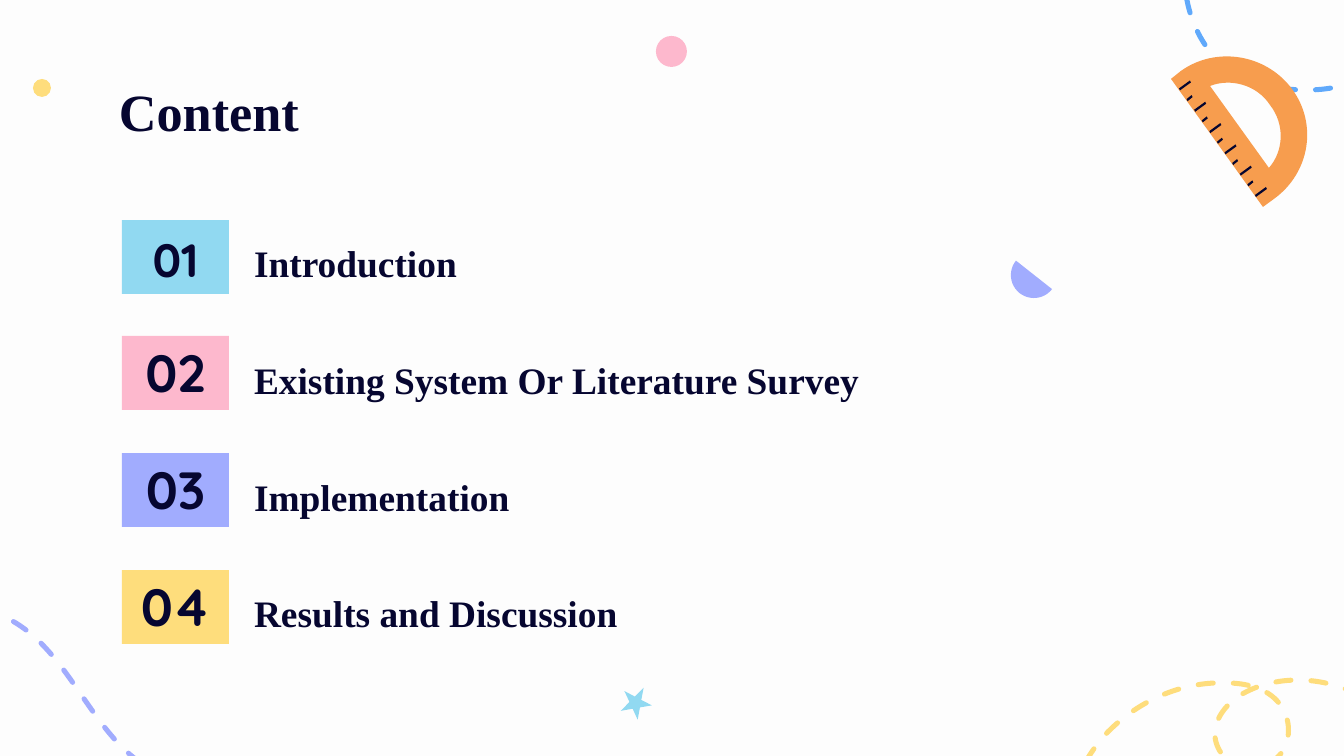
from lxml.etree import SubElement
from pptx import Presentation
from pptx.dml.color import RGBColor
from pptx.enum.dml import MSO_LINE
from pptx.enum.shapes import MSO_SHAPE
from pptx.enum.text import MSO_ANCHOR, PP_ALIGN
from pptx.oxml.ns import qn
from pptx.util import Pt

PX = 6804  # EMU per pixel, 134.4 pixels to the inch

THEME = {
    "paper": RGBColor.from_string("FDFDFD"),
    "ink": RGBColor.from_string("060630"),
    "sky": RGBColor.from_string("91D9F1"),
    "pink": RGBColor.from_string("FDB8CD"),
    "violet": RGBColor.from_string("A1ACFE"),
    "yellow": RGBColor.from_string("FEDD7C"),
    "blue": RGBColor.from_string("60A9FB"),
    "orange": RGBColor.from_string("F79D4E"),
    "heading_font": "Times New Roman",
    "number_font": "Quicksand",
    "title_size": Pt(28),
    "first_number_size": Pt(25),
    "number_size": Pt(28),
    "label_size": Pt(20),
    "dash_width": Pt(2.69),
}

presentation = Presentation()
presentation.slide_width = 1344 * PX
presentation.slide_height = 756 * PX
slide = presentation.slides.add_slide(presentation.slide_layouts[6])
slide.background.fill.solid()
slide.background.fill.fore_color.rgb = THEME["paper"]


def add_outline(box, contours, close):
    """Each contour lists points (x, y) and Bézier steps (x1, y1, x2, y2, x, y)."""
    left, top, width, height = box
    builder = slide.shapes.build_freeform(left, top, PX)
    builder.add_line_segments([(left + width, top + height)], close=False)
    shape = builder.convert_to_shape()
    shape.shadow.inherit = False
    # Swap the box diagonal for the contours, in coordinates local to the box
    outline = shape._element.find(f".//{qn('a:path')}")
    for child in list(outline):
        outline.remove(child)
    outline.set("w", str(width * PX))
    outline.set("h", str(height * PX))
    for contour in contours:
        for index, step in enumerate(contour):
            tag = "a:moveTo" if index == 0 else "a:lnTo" if len(step) == 2 else "a:cubicBezTo"
            command = SubElement(outline, qn(tag))
            for x, y in zip(step[::2], step[1::2]):
                SubElement(command, qn("a:pt"), x=str(round((x - left) * PX)),
                           y=str(round((y - top) * PX)))
        if close:
            SubElement(outline, qn("a:close"))
    return shape


def write(shape, text, font_format, paragraph_format, frame_format):
    frame = shape.text_frame
    paragraph = frame.paragraphs[0]
    run = paragraph.add_run()
    run.text = text
    run.font.color.rgb = THEME["ink"]
    margins = {f"margin_{side}": 13 * PX for side in ("left", "top", "right", "bottom")}
    for target, values in (
        (frame, {"word_wrap": True, **margins, **frame_format}),
        (paragraph, paragraph_format),
        (run.font, {"bold": True, **font_format}),
    ):
        for name, value in values.items():
            setattr(target, name, value)


# Dashed curves: colour, box, contour
dashed_curves = [
    ("blue", (1185, -26, 239, 115),
     [(1423, -3), (1430, 12, 1390, 118, 1255, 83), (1211, 71, 1183, 20, 1185, -26)]),
    ("violet", (-90, 610, 331, 176),
     [(241, 786), (218, 786, 195, 785, 173, 780), (152, 773, 133, 759, 118, 743),
      (77, 699, 54, 634, -5, 613), (-23, 607, -43, 609, -60, 617),
      (-77, 625, -90, 641, -90, 660)]),
    ("yellow", (1063, 680, 380, 183),
     [(1064, 863), (1059, 817, 1074, 770, 1105, 735), (1136, 702, 1181, 681, 1227, 683),
      (1246, 683, 1267, 688, 1279, 703), (1289, 715, 1292, 734, 1284, 749),
      (1277, 762, 1259, 771, 1243, 767), (1228, 765, 1215, 750, 1215, 734),
      (1215, 716, 1230, 700, 1246, 692), (1279, 675, 1320, 677, 1353, 692),
      (1388, 707, 1417, 731, 1443, 758)]),
]
for color, box, contour in dashed_curves:
    curve = add_outline(box, [contour], close=False)
    curve.fill.background()
    curve.line.color.rgb = THEME[color]
    curve.line.width = THEME["dash_width"]
    curve.line.dash_style = MSO_LINE.DASH
    curve.line._get_or_add_ln().set("cap", "rnd")

# Small ornaments: preset, left, top, size, rotation, adjustments, colour
ornaments = [
    (MSO_SHAPE.OVAL, 33, 79, 18, 0, [], "yellow"),
    (MSO_SHAPE.OVAL, 656, 36, 31, 0, [], "pink"),
    (MSO_SHAPE.STAR_5_POINT, 621, 686, 31, 27.6, [0.19, 1.05, 1.11], "sky"),
    (MSO_SHAPE.CHORD, 1011, 252, 46, 308.8, [53.43, 162], "violet"),
]
for preset, left, top, size, rotation, adjustments, color in ornaments:
    ornament = slide.shapes.add_shape(preset, left * PX, top * PX, size * PX, size * PX)
    ornament.rotation = rotation
    for index, value in enumerate(adjustments):
        ornament.adjustments[index] = value
    ornament.shadow.inherit = False
    ornament.fill.solid()
    ornament.fill.fore_color.rgb = THEME[color]
    ornament.line.fill.background()

# Protractor: body with a hole, then alternating long and short ticks
body = [
    [(1171, 79), (1263, 207), (1274, 199), (1310, 173, 1318, 124, 1292, 89),
     (1266, 54, 1216, 46, 1181, 71), (1171, 79)],
    [(1269, 168), (1210, 86), (1231, 78, 1257, 85, 1270, 105),
     (1285, 124, 1284, 151, 1269, 168)],
]
ticks = []
for index in range(11):
    x, y = 1256 - 7.6 * index, 197 - 10.65 * index
    run_x, rise = (5, 4) if index % 2 else (11, 8)
    ticks.append([(x, y), (x + run_x, y - rise), (x + run_x - 1, y - rise - 2),
                  (x - 1, y - 2), (x, y)])
for box, contours, color in (
    ((1171, 56, 137, 151), body, "orange"),
    ((1179, 82, 88, 115), ticks, "ink"),
):
    part = add_outline(box, contours, close=True)
    part.fill.solid()
    part.fill.fore_color.rgb = THEME[color]
    part.line.fill.background()

# Title
title = slide.shapes.add_textbox(106 * PX, 66 * PX, 1133 * PX, 85 * PX)
write(title, "Content", {"name": THEME["heading_font"], "size": THEME["title_size"]}, {}, {})

# Numbered contents
entries = [
    ("Introduction", "sky", "first_number_size"),
    ("Existing System Or Literature Survey", "pink", "number_size"),
    ("Implementation", "violet", "number_size"),
    ("Results and Discussion", "yellow", "number_size"),
]
for index, (text, color, size) in enumerate(entries):
    number_top, label_top = (round(first + 116.67 * index) for first in (219.6, 220.4))
    number = slide.shapes.add_shape(
        MSO_SHAPE.RECTANGLE, 122 * PX, number_top * PX, 107 * PX, 74 * PX)
    number.shadow.inherit = False
    number.fill.solid()
    number.fill.fore_color.rgb = THEME[color]
    number.line.fill.background()
    write(number, f"{index + 1:02}",
          {"name": THEME["number_font"], "size": THEME[size]},
          {"alignment": PP_ALIGN.CENTER, "line_spacing": 1.15},
          {"vertical_anchor": MSO_ANCHOR.BOTTOM, "margin_bottom": 7 * PX})
    label = slide.shapes.add_textbox(241 * PX, label_top * PX, 997 * PX, 73 * PX)
    write(label, text, {"name": THEME["heading_font"], "size": THEME["label_size"]},
          {"line_spacing": 1.15}, {})

presentation.save("out.pptx")
